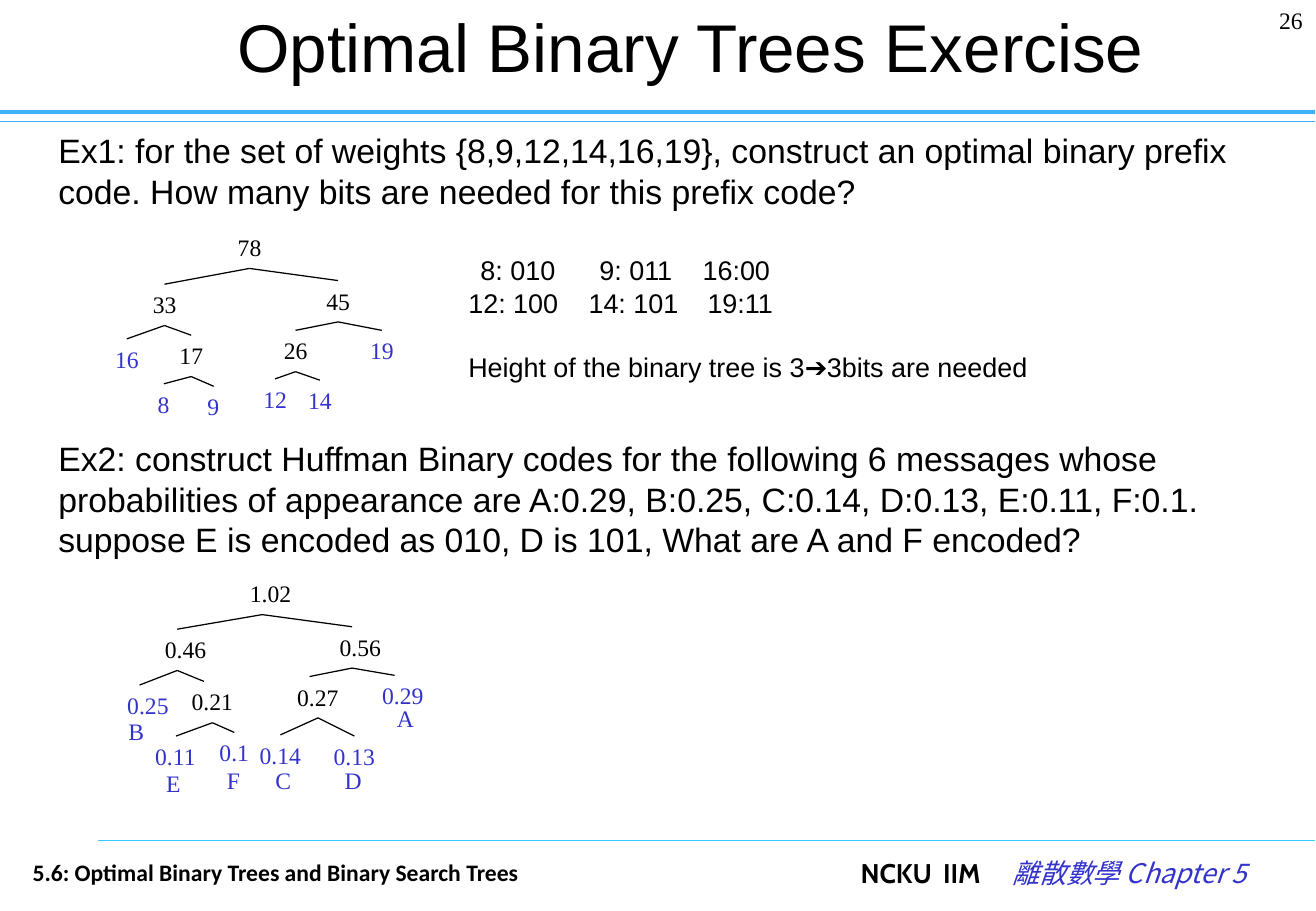
import pptx
import pptx.util
import pptx.dml.color
import pptx.enum.shapes
import pptx.enum.text
from dataclasses import dataclass
from pptx.oxml.ns import qn
from lxml import etree

Inches = pptx.util.Inches
Pt = pptx.util.Pt


@dataclass
class Theme:
    black: str = "000000"
    leaf: str = "3333CC"
    rule: str = "3DB0FF"
    base: str = "33CCFF"
    sans: str = "Arial"
    serif: str = "Times New Roman"
    head: int = 40
    body: int = 20
    note: int = 16
    small: int = 14


look = Theme()
deck = pptx.Presentation()
deck.slide_width, deck.slide_height = Inches(10.84), Inches(7.5)
slide = deck.slides.add_slide(deck.slide_layouts[1])
shapes = slide.shapes


def write(para, text, size, face, color=look.black, bold=False, slant=False):
    run = para.add_run()
    run.text = text
    font = run.font
    font.size, font.name, font.bold, font.italic = Pt(size), face, bold, slant
    font.color.rgb = pptx.dml.color.RGBColor.from_string(color)
    return run


def line(x1, y1, x2, y2, color=look.black, width=0.75):
    link = shapes.add_connector(
        pptx.enum.shapes.MSO_CONNECTOR.STRAIGHT,
        Inches(x1), Inches(y1), Inches(x2), Inches(y2))
    link.line.color.rgb = pptx.dml.color.RGBColor.from_string(color)
    link.line.width = Pt(width)
    etree.SubElement(link._element.spPr, qn("a:effectLst"))
    return link


# Rules under the title and above the footer
line(0, 1, 10.83, 1, look.rule)
line(0, 0.92, 10.83, 0.92, look.rule, 2.5)
line(0.81, 6.92, 10.83, 6.92, look.base)

# Title
title = shapes.title
title.left, title.top = Inches(1.44), Inches(0)
title.width, title.height = Inches(8.49), Inches(0.75)
title.text_frame.vertical_anchor = pptx.enum.text.MSO_ANCHOR.MIDDLE
para = title.text_frame.paragraphs[0]
para.alignment = pptx.enum.text.PP_ALIGN.CENTER
write(para, "Optimal Binary Trees Exercise", look.head, look.sans)

# Exercises
body = slide.placeholders[1]
body.left, body.top = Inches(0.38), Inches(1.02)
body.width, body.height = Inches(10.45), Inches(5.92)
tasks = [
    (0, "Ex1: for the set of weights {8,9,12,14,16,19}, construct an optimal "
        "binary prefix code. How many bits are needed for this prefix code?"),
    (134.6, "Ex2: construct Huffman Binary codes for the following 6 messages "
            "whose probabilities of appearance are A:0.29, B:0.25, C:0.14, "
            "D:0.13, E:0.11, F:0.1. suppose E is encoded as 010, D is 101, "
            "What are A and F encoded?"),
]
for i, (gap, text) in enumerate(tasks):
    para = body.text_frame.paragraphs[0] if i == 0 else body.text_frame.add_paragraph()
    para.space_before, para.line_spacing = Pt(gap), Pt(24)
    props = para._p.get_or_add_pPr()
    props.set("marL", "0")
    props.set("indent", "0")
    etree.SubElement(props, qn("a:buNone"))
    write(para, text, look.body, look.sans)

# Trees: nodes (text, left, top, is leaf), edges, edges moved left by a shift
trees = [
    ([("78", 1.86, 1.87, 0), ("33", 1.16, 2.34, 0), ("45", 2.59, 2.31, 0),
      ("16", 0.85, 2.79, 1), ("17", 1.38, 2.76, 0), ("26", 2.24, 2.72, 0),
      ("19", 2.95, 2.72, 1), ("8", 1.2, 3.16, 1), ("9", 1.61, 3.18, 1),
      ("12", 2.07, 3.12, 1), ("14", 2.44, 3.13, 1)],
     ["78 33", "78 45", "33 16", "33 17", "45 26", "45 19",
      "17 8", "17 9", "26 12", "26 14"], []),
    ([("1.02", 1.96, 4.72, 0), ("0.46", 1.26, 5.18, 0), ("0.56", 2.7, 5.16, 0),
      ("0.25", 0.95, 5.64, 1), ("0.21", 1.48, 5.61, 0), ("0.27", 2.35, 5.57, 0),
      ("0.29", 3.05, 5.56, 1), ("0.11", 1.18, 6.06, 1), ("0.1", 1.71, 6.03, 1),
      ("0.14", 2.04, 6.05, 1), ("0.13", 2.65, 6.06, 1),
      ("A", 3.17, 5.75, 1), ("B", 0.96, 5.85, 1), ("C", 2.17, 6.26, 1),
      ("D", 2.74, 6.26, 1), ("E", 1.27, 6.28, 1), ("F", 1.77, 6.26, 1)],
     ["0.21 0.11", "0.21 0.1", "0.27 0.14", "0.27 0.13"],
     ["1.02 0.46", "1.02 0.56", "0.46 0.25", "0.46 0.21",
      "0.56 0.27", "0.56 0.29"]),
]
wide = {1: 0.3, 2: 0.39, 3: 0.44, 4: 0.54}
tall, shift = 0.34, 0.07
for nodes, joined, moved in trees:
    boxes, spots = {}, {}
    for text, left, top, leaf in nodes:
        width = 0.33 if text.isalpha() else wide[len(text)]
        box = shapes.add_textbox(Inches(left), Inches(top), Inches(width), Inches(tall))
        # No right margin, so that each label has room on one line
        box.text_frame.word_wrap, box.text_frame.margin_right = True, 0
        write(box.text_frame.paragraphs[0], text, look.small, look.serif,
              look.leaf if leaf else look.black)
        boxes[text], spots[text] = box, (left + width / 2, top)
    for edge in joined + moved:
        up, down = edge.split()
        (x1, y1), (x2, y2) = spots[up], spots[down]
        move = shift if edge in moved else 0
        link = line(x1 - move, y1 + tall, x2 - move, y2)
        if not move:
            link.begin_connect(boxes[up], 2)
            link.end_connect(boxes[down], 0)

# Notes and footer: (left, top, width, height), rows of (gap, pitch, tabs, runs)
sans = (look.note, look.sans)
notes = [
    ((3.76, 2.04, 4.84, 1.17), [
        (0, 19.2, [0.1, 1.08, 1.93], [("\t8: 010\t9: 011\t16:00", *sans)]),
        (0, 19.2, [0.99, 1.97], [("12: 100\t14: 101\t19:11", *sans)]),
        (19.2, 19.2, [], [("Height of the binary tree is 3➔3bits are needed", *sans)])]),
    ((6.99, 7, 3.6, 0.5), [
        (0, None, [0.68, 1.25], [
            ("NCKU\tIIM\t", look.note, "Cabin", look.black, True),
            ("離散數學 Chapter 5", look.note, "Noto Sans CJK SC", look.leaf, False, True)])]),
    ((0.17, 7.01, 5.16, 0.34), [
        (0, None, [], [("5.6: Optimal Binary Trees and Binary Search Trees",
                        look.small, "Calibri", look.black, True)])]),
]
for place, rows in notes:
    frame = shapes.add_textbox(*map(Inches, place)).text_frame
    frame.word_wrap = True
    for i, (gap, pitch, tabs, runs) in enumerate(rows):
        para = frame.paragraphs[0] if i == 0 else frame.add_paragraph()
        para.space_before = Pt(gap)
        if pitch:
            para.line_spacing = Pt(pitch)
        if tabs:
            stops = etree.SubElement(para._p.get_or_add_pPr(), qn("a:tabLst"))
            for x in tabs:
                etree.SubElement(stops, qn("a:tab"), pos=str(Inches(x)), algn="l")
        for part in runs:
            run = write(para, *part)
            if "CJK" in part[2]:
                etree.SubElement(run._r.get_or_add_rPr(), qn("a:ea"), typeface=part[2])

# Page number
page = shapes.add_textbox(Inches(9.93), Inches(0), Inches(0.9), Inches(0.5))
page.text_frame.word_wrap = True
para = page.text_frame.paragraphs[0]
para.alignment = pptx.enum.text.PP_ALIGN.RIGHT
write(para, "26", look.small, look.serif)

deck.save("out.pptx")
